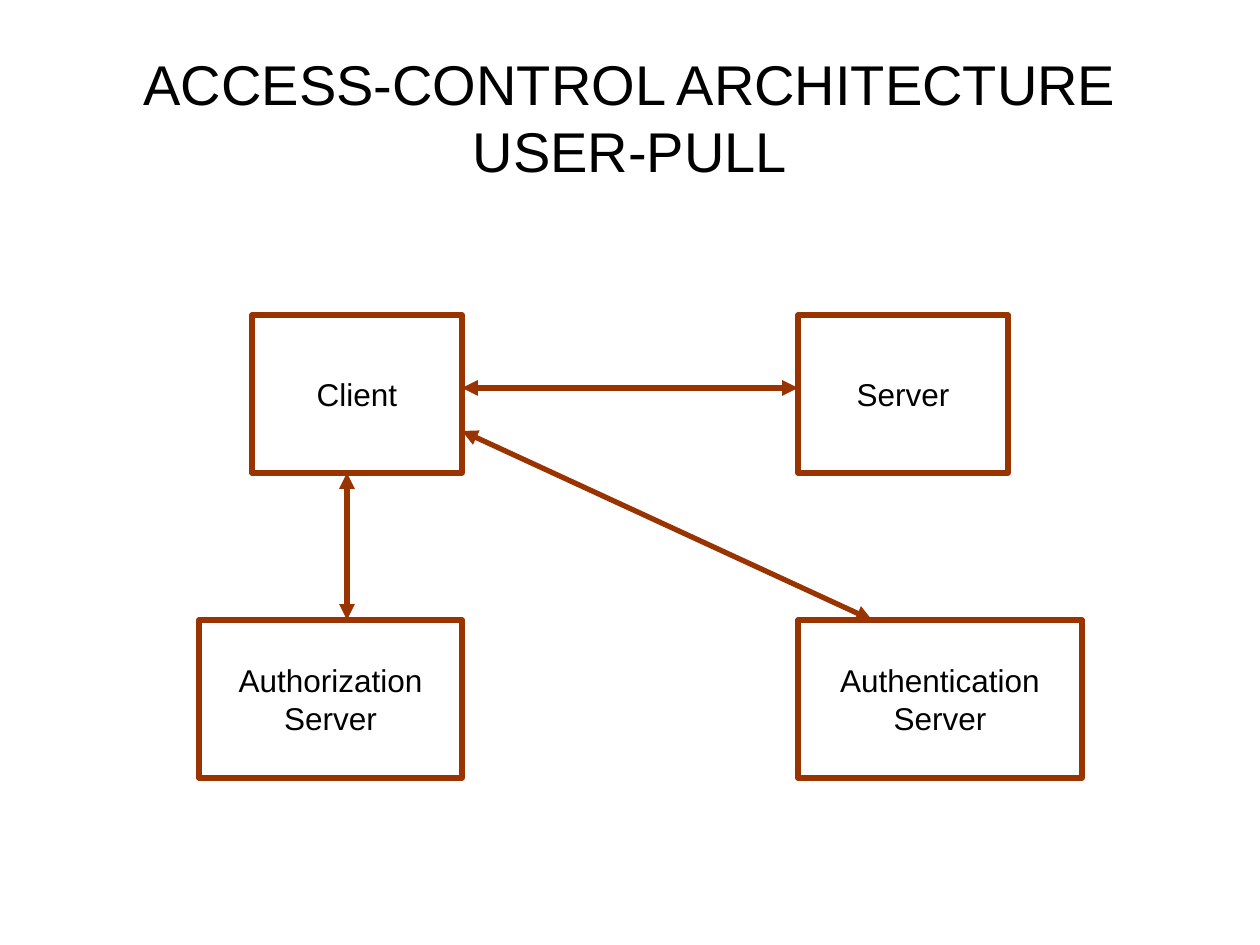
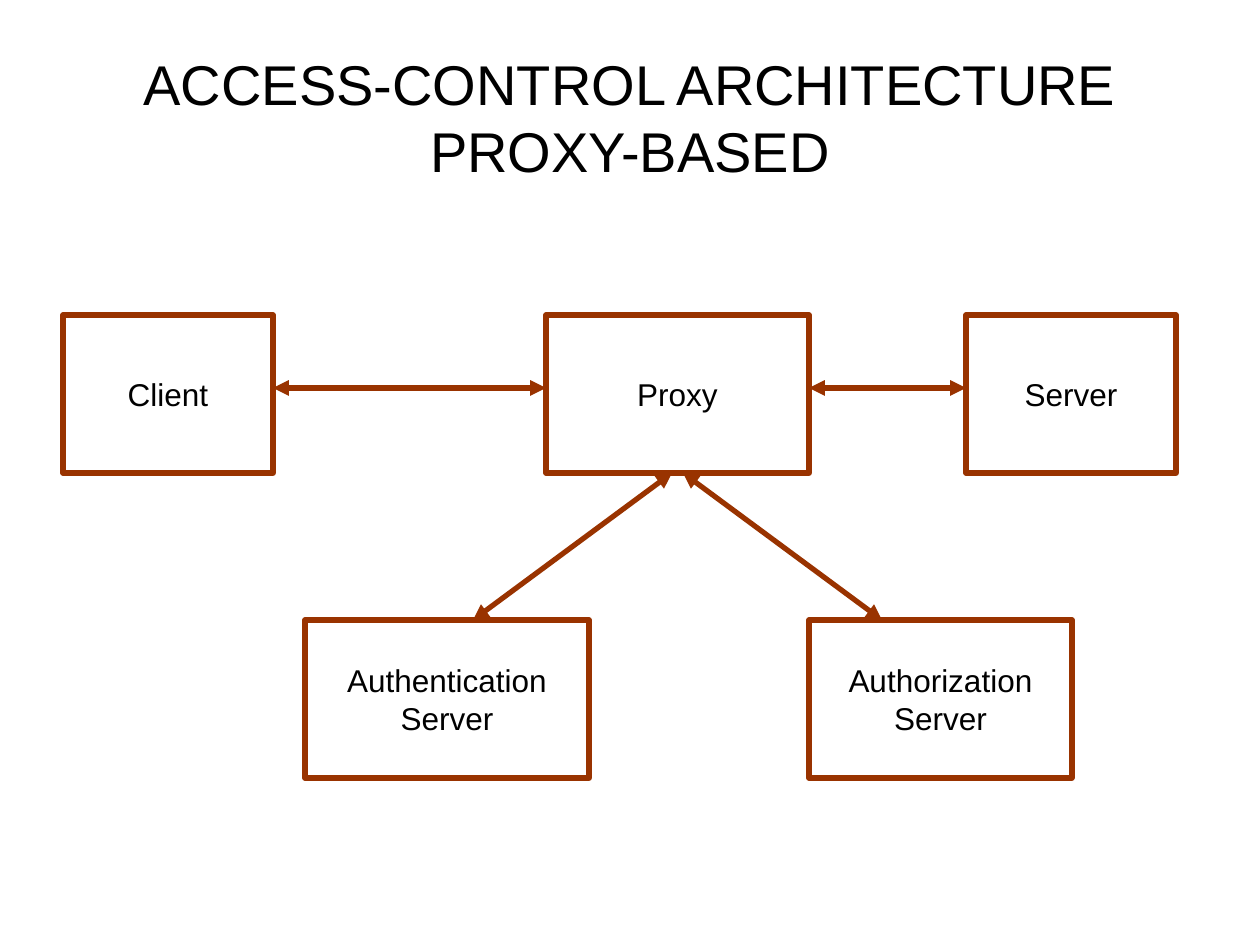
from collections import namedtuple

from lxml import etree
from pptx import Presentation
from pptx.dml.color import RGBColor
from pptx.enum.shapes import MSO_CONNECTOR, MSO_SHAPE
from pptx.enum.text import MSO_ANCHOR, MSO_AUTO_SIZE, PP_ALIGN
from pptx.oxml.ns import qn
from pptx.util import Pt

EMU_PER_PX = 914400 / 126
COLORS = {"text": "000000", "outline": "993300"}
FONT = "Arial"
TITLE_SIZE, LABEL_SIZE, LINE_WIDTH = Pt(32), Pt(18), Pt(3)
TITLE_ONLY = 5

SLIDE_W, SLIDE_H = 1260, 945
TOP_ROW, BOTTOM_ROW = 315, 620
NODE_H = 158
END_W, AUTHORIZATION_W, AUTHENTICATION_W = 210, 263, 284
LINK_DROP = 73  # from the top of a node to its horizontal link

Box = namedtuple("Box", "left top width height")
TITLE_BOX = Box(63, 38, SLIDE_W - 2 * 63, 158)


def px(length):
    return round(length * EMU_PER_PX)


def color(name):
    return RGBColor.from_string(COLORS[name])


def right(box):
    return box.left + box.width


def bottom(box):
    return box.top + box.height


def add_run(paragraph, text, size):
    paragraph.alignment = PP_ALIGN.CENTER
    run = paragraph.add_run()
    run.text = text
    run.font.name = FONT
    run.font.size = size
    run.font.color.rgb = color("text")


def style_line(line):
    line.color.rgb = color("outline")
    line.width = LINE_WIDTH


def add_titled_slide(deck, architecture):
    slide = deck.slides.add_slide(deck.slide_layouts[TITLE_ONLY])
    title = slide.shapes.title
    title.left, title.top, title.width, title.height = map(px, TITLE_BOX)
    frame = title.text_frame
    frame.auto_size = MSO_AUTO_SIZE.NONE
    frame.vertical_anchor = MSO_ANCHOR.MIDDLE
    paragraph = frame.paragraphs[0]
    add_run(paragraph, "ACCESS-CONTROL ARCHITECTURE", TITLE_SIZE)
    paragraph.add_line_break()
    add_run(paragraph, architecture, TITLE_SIZE)
    return slide


def add_node(slide, box, *lines):
    """Draw an outlined box with one centred paragraph per line; return the box."""
    node = slide.shapes.add_shape(MSO_SHAPE.RECTANGLE, *map(px, box))
    node.shadow.inherit = False
    node.fill.background()
    style_line(node.line)
    frame = node.text_frame
    frame.word_wrap = False
    frame.vertical_anchor = MSO_ANCHOR.MIDDLE
    for index, text in enumerate(lines):
        paragraph = frame.add_paragraph() if index else frame.paragraphs[0]
        add_run(paragraph, text, LABEL_SIZE)
    return box


def add_client(slide, left):
    return add_node(slide, Box(left, TOP_ROW, END_W, NODE_H), "Client")


def add_server(slide, left):
    return add_node(slide, Box(left, TOP_ROW, END_W, NODE_H), "Server")


def add_authorization(slide, left):
    box = Box(left, BOTTOM_ROW, AUTHORIZATION_W, NODE_H)
    return add_node(slide, box, "Authorization", "Server")


def add_authentication(slide, left):
    box = Box(left, BOTTOM_ROW, AUTHENTICATION_W, NODE_H)
    return add_node(slide, box, "Authentication", "Server")


def add_link(slide, start, end):
    """Draw a line with an arrowhead at both ends."""
    link = slide.shapes.add_connector(MSO_CONNECTOR.STRAIGHT, *map(px, start + end))
    style_line(link.line)
    outline = link.line._get_or_add_ln()
    for tag in ("a:headEnd", "a:tailEnd"):
        etree.SubElement(outline, qn(tag), type="triangle")
    etree.SubElement(link._element.spPr, qn("a:effectLst"))


def link_across(slide, left_box, right_box):
    y = left_box.top + LINK_DROP
    add_link(slide, (right(left_box), y), (right_box.left, y))


def build_user_pull(deck):
    slide = add_titled_slide(deck, "USER-PULL")
    client = add_client(slide, 252)
    server = add_server(slide, 798)
    authorization = add_authorization(slide, right(client) - AUTHORIZATION_W)
    authentication = add_authentication(slide, server.left)

    link_across(slide, client, server)
    x = client.left + 95
    add_link(slide, (x, bottom(client)), (x, authorization.top))
    add_link(slide, (right(client), client.top + 116),
             (authentication.left + 74, authentication.top))


def build_proxy_based(deck):
    slide = add_titled_slide(deck, "PROXY-BASED")
    client = add_client(slide, 63)
    proxy = add_node(slide, Box(546, TOP_ROW, AUTHORIZATION_W, NODE_H), "Proxy")
    server = add_server(slide, 966)
    authentication = add_authentication(slide, 305)
    authorization = add_authorization(slide, right(proxy))

    link_across(slide, client, proxy)
    link_across(slide, proxy, server)
    add_link(slide, (proxy.left + 126, bottom(proxy)),
             (authentication.left + 168, authentication.top))
    add_link(slide, (proxy.left + 137, bottom(proxy)),
             (authorization.left + 73, authorization.top))


def main():
    deck = Presentation()
    deck.slide_width, deck.slide_height = px(SLIDE_W), px(SLIDE_H)
    build_user_pull(deck)
    build_proxy_based(deck)
    deck.save("out.pptx")


if __name__ == "__main__":
    main()
